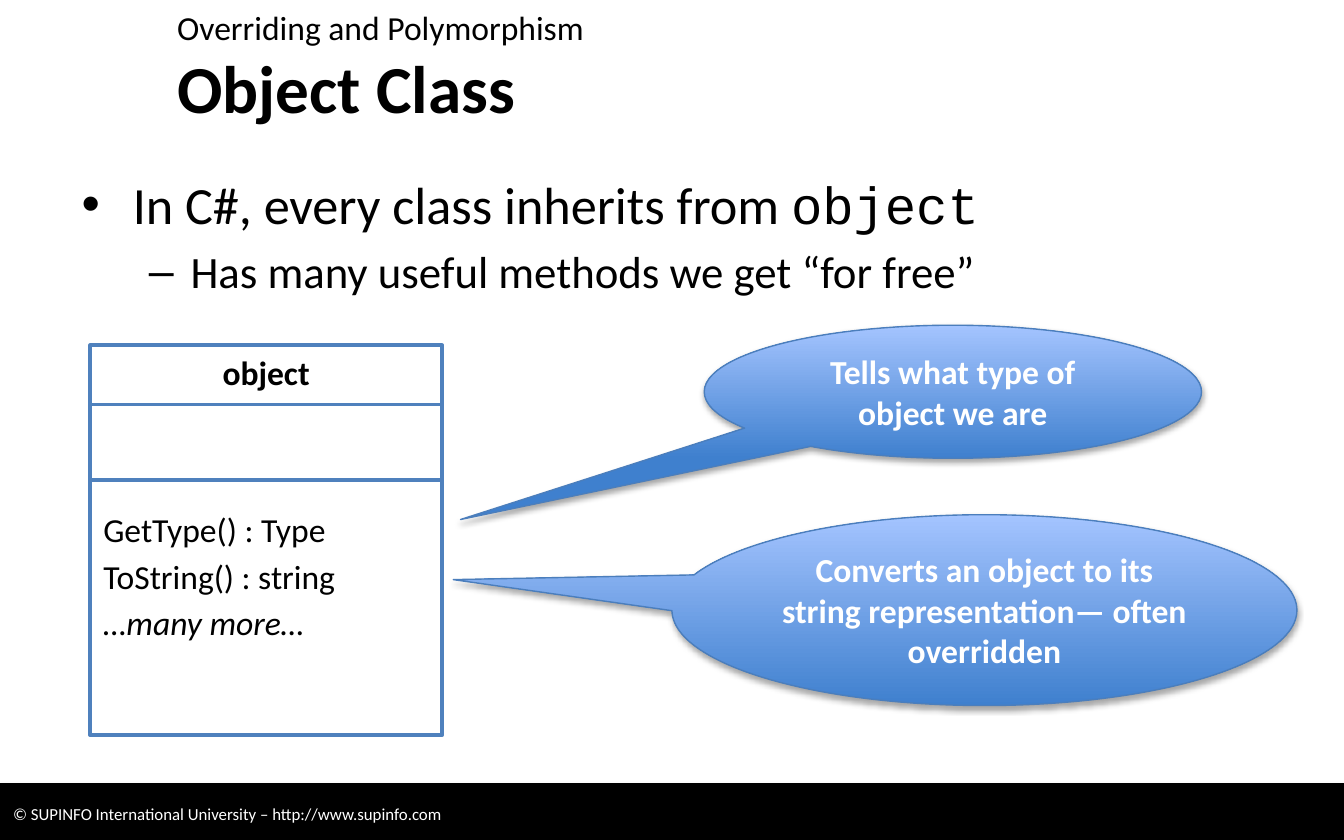
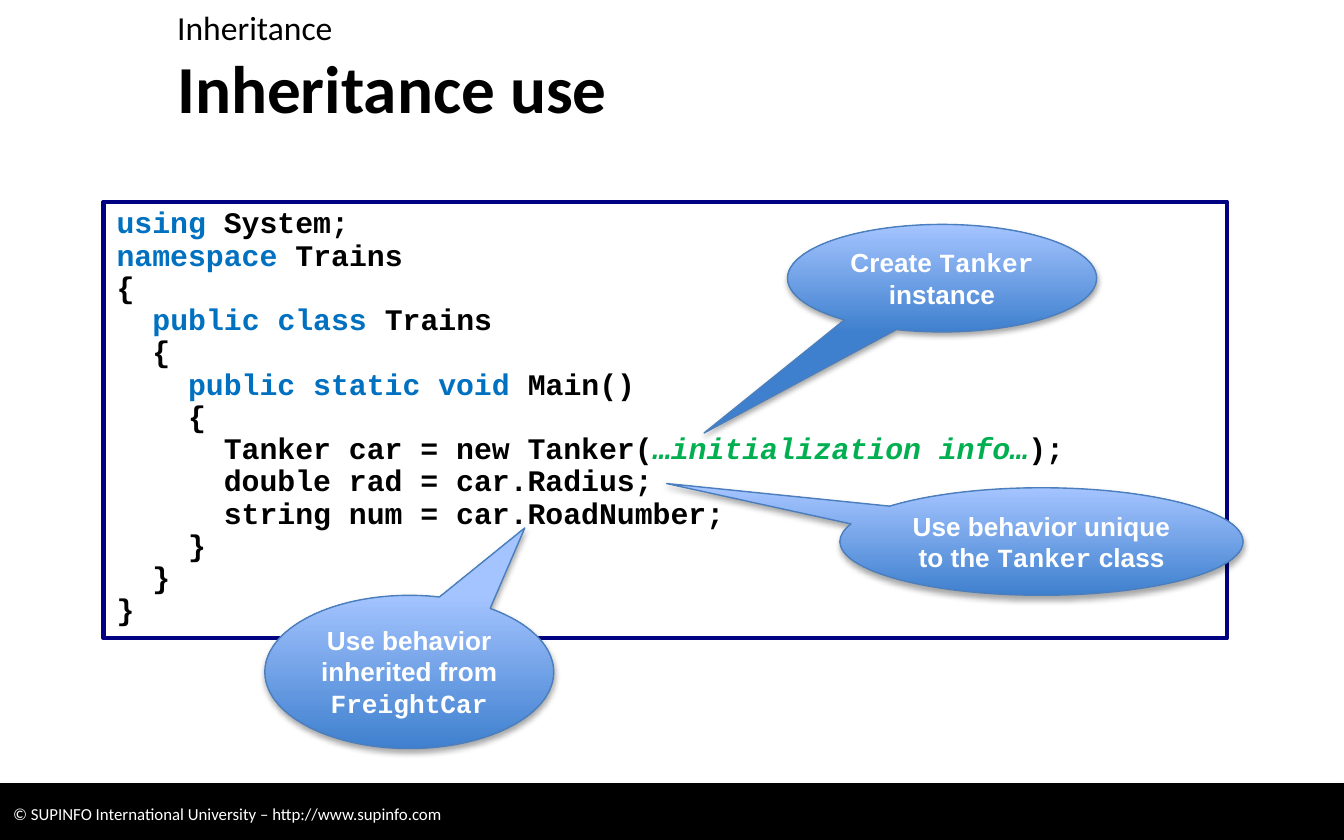
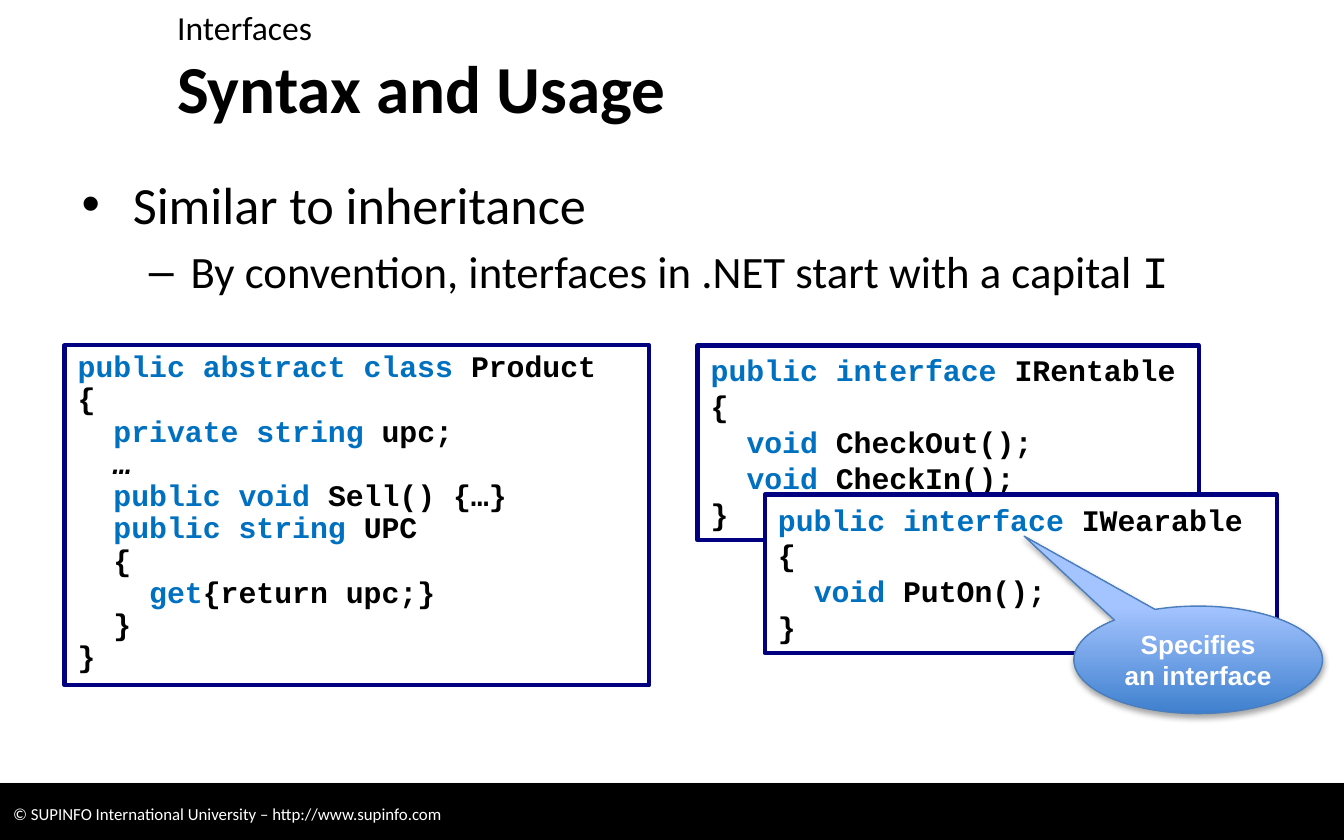
from lxml import etree
from pptx import Presentation
from pptx import util as u
from pptx.dml.color import RGBColor
from pptx.enum import shapes, text
from pptx.oxml.ns import qn

BLACK = RGBColor(0x00, 0x00, 0x00)
WHITE = RGBColor(0xFF, 0xFF, 0xFF)
GRAY = RGBColor(0x80, 0x80, 0x80)
NAVY = RGBColor(0x00, 0x00, 0x80)
CLASS_LINE = RGBColor(0x4F, 0x81, 0xBD)
CALLOUT_DARK = RGBColor(0x3F, 0x80, 0xCE)
CALLOUT_LIGHT = RGBColor(0xA4, 0xC4, 0xFF)
CALLOUT_LINE = RGBColor(0x4B, 0x7E, 0xBC)
KEYWORD = RGBColor(0x00, 0x70, 0xC0)
COMMENT = RGBColor(0x00, 0xB0, 0x50)

BODY_FONT, CALLOUT_FONT, CODE_FONT = "Calibri", "Arial", "Courier New"
FOOTER = "© SUPINFO International University – http://www.supinfo.com"

# Text is split at "|"; a piece may start with one of these marks and a colon
MARKS = {
    "k": {"color": KEYWORD},
    "c": {"color": COMMENT, "italic": True},
    "i": {"italic": True},
    "m": {"name": CODE_FONT},
}

TRAINS_CODE = [
    "k:using |System;",
    "k:namespace |Trains",
    "{",
    "  |k:public class |Trains",
    "  {",
    "    |k:public static void |Main()",
    "    {",
    "      Tanker car = new Tanker(|c:…initialization info…|);",
    "      double rad = car.Radius;",
    "      string num = car.RoadNumber;",
    "    }",
    "  }",
    "}",
]
PRODUCT_CODE = [
    "k:public abstract class |Product",
    "{",
    "  |k:private string |upc;",
    "i:  …",
    "  |k:public void |Sell() {…}",
    "  |k:public string |UPC",
    "  {",
    "    |k:get|{return upc;}",
    "  }",
    "}",
]
RENTABLE_CODE = ["k:public interface| IRentable", "{", "  |k:void| CheckOut();",
                 "  |k:void| CheckIn();", "}"]
WEARABLE_CODE = ["k:public interface| IWearable", "{", "  |k:void| PutOn();", "}"]


class Deck:
    def __init__(self):
        self.presentation = Presentation()
        self.presentation.slide_width = u.Inches(10)
        self.presentation.slide_height = u.Inches(6.25)
        self.slide = None

    def add_slide(self, chapter, title):
        """Start a slide with its footer band and headings."""
        self.slide = self.presentation.slides.add_slide(self.presentation.slide_layouts[6])
        band = self.box((0, 5.83, 10, 0.45), BLACK, BLACK, 0.75)
        self.cast_shadow(band, GRAY)
        band.text_frame.vertical_anchor = text.MSO_ANCHOR.MIDDLE
        self.fill_text(band, [FOOTER], 9, color=WHITE)
        heading = self.text_box((1.22, 0.37, 8.51, 0.55))
        heading.text_frame.vertical_anchor = text.MSO_ANCHOR.MIDDLE
        self.fill_text(heading, [title], 36, bold=True)
        self.fill_text(self.text_box((1.22, 0, 8.51, 0.37)), [chapter], 18)

    def text_box(self, area):
        shape = self.slide.shapes.add_textbox(*map(u.Inches, area))
        shape.text_frame.word_wrap = True
        return shape

    def box(self, area, fill, line, width, kind=shapes.MSO_SHAPE.RECTANGLE):
        shape = self.slide.shapes.add_shape(kind, *map(u.Inches, area))
        shape.shadow.inherit = False
        if fill is not None:
            shape.fill.solid()
            shape.fill.fore_color.rgb = fill
        shape.line.color.rgb = line
        shape.line.width = u.Pt(width)
        shape.text_frame.word_wrap = True
        shape.text_frame.vertical_anchor = text.MSO_ANCHOR.TOP
        return shape

    def cast_shadow(self, shape, color):
        effects = shape._element.spPr.find(qn("a:effectLst"))
        shadow = etree.SubElement(effects, qn("a:outerShdw"), blurRad="40000",
                                  dist="23000", dir="5400000", rotWithShape="0")
        tint = etree.SubElement(shadow, qn("a:srgbClr"), val=str(color))
        etree.SubElement(tint, qn("a:alpha"), val="35000")

    def fill_text(self, shape, lines, size, name=BODY_FONT, color=BLACK, bold=False,
                  align=text.PP_ALIGN.LEFT, spacing=None):
        """Fill a shape with one paragraph per line and return the paragraphs."""
        frame = shape.text_frame
        for index, line in enumerate(lines):
            paragraph = frame.add_paragraph() if index else frame.paragraphs[0]
            paragraph.alignment = align
            paragraph.line_spacing = spacing
            for piece in line.split("|"):
                mark, _, rest = piece.partition(":")
                style = MARKS.get(mark, {})
                run = paragraph.add_run()
                run.text = rest if style else piece
                run.font.size = u.Pt(size)
                run.font.bold = bold
                run.font.name = style.get("name", name)
                run.font.italic = style.get("italic", False)
                run.font.color.rgb = style.get("color", color)
        return frame.paragraphs

    def bullets(self, main_point, detail):
        area = (0.51, 1.23, 9.06, 1.2)
        paragraphs = self.fill_text(self.text_box(area), [main_point, detail], 28)
        levels = [("•", 0.38, -0.38), ("–", 0.81, -0.31)]
        for level, (paragraph, (sign, margin, indent)) in enumerate(zip(paragraphs, levels)):
            paragraph.level = level
            properties = paragraph._p.get_or_add_pPr()
            properties.set("marL", str(u.Inches(margin)))
            properties.set("indent", str(u.Inches(indent)))
            etree.SubElement(properties, qn("a:buFont"), typeface="Arial")
            etree.SubElement(properties, qn("a:buChar"), char=sign)
        paragraphs[1].space_before = u.Pt(5)
        for run in paragraphs[1].runs:
            run.font.size = u.Pt(24)

    def class_box(self, area, name, members, dividers):
        """Class diagram: name, empty field area and members."""
        left, top, width, height = area
        shape = self.box(area, WHITE, CLASS_LINE, 2)
        heading, *rows = self.fill_text(shape, [name, *members], 18)
        heading.alignment = text.PP_ALIGN.CENTER
        heading.runs[0].font.bold = True
        for row in rows:
            row.line_spacing = 0.5
            row.space_before = u.Pt(14)
        rows[0].space_before = u.Pt(72)
        for y in dividers:
            ends = map(u.Inches, (left, y, left + width, y))
            line = self.slide.shapes.add_connector(shapes.MSO_CONNECTOR.STRAIGHT, *ends)
            line.line.color.rgb = CLASS_LINE
            line.line.width = u.Pt(2)
            etree.SubElement(line._element.spPr, qn("a:effectLst"))

    def code_box(self, area, lines, spacing=None):
        shape = self.box(area, WHITE, NAVY, 2.25)
        self.fill_text(shape, lines, 16, CODE_FONT, bold=True, spacing=spacing)

    def callout(self, area, tip, message, size=14, name=CALLOUT_FONT):
        """Oval callout; tip is the pointer's offset as a share of the size."""
        shape = self.box(area, None, CALLOUT_LINE, 0.75, shapes.MSO_SHAPE.OVAL_CALLOUT)
        shape.adjustments[0], shape.adjustments[1] = tip
        shape.fill.gradient()
        shape.fill.gradient_angle = 90
        for stop, color, position in zip(shape.fill.gradient_stops,
                                         (CALLOUT_DARK, CALLOUT_LIGHT), (0, 1)):
            stop.color.rgb = color
            stop.position = position
        self.cast_shadow(shape, BLACK)
        self.fill_text(shape, [message], size, name, WHITE, True, text.PP_ALIGN.CENTER)


def main():
    deck = Deck()

    # Object class
    deck.add_slide("Overriding and Polymorphism", "Object Class")
    deck.bullets("In C#, every class inherits from |m:object",
                 "Has many useful methods we get “for free”")
    deck.class_box((0.67, 2.57, 2.62, 2.9), "object",
                   ["GetType() : Type", "ToString() : string", "i:…many more…"],
                   dividers=(3.57, 3.01))
    deck.callout((5.24, 2.42, 3.7, 0.99), (-0.99, 0.96),
                 "Tells what type of object we are", 18, BODY_FONT)
    deck.callout((5, 3.83, 4.65, 1.42), (-0.85, -0.16),
                 "Converts an object to its string representation— often overridden",
                 18, BODY_FONT)

    # Inheritance use
    deck.add_slide("Inheritance", "Inheritance use")
    deck.code_box((0.77, 1.5, 8.36, 3.25), TRAINS_CODE, 0.9)
    deck.callout((5.86, 1.67, 2.3, 0.8), (-0.77, 1.44), "Create |m:Tanker| instance")
    deck.callout((6.25, 3.63, 3, 0.8), (-0.93, -0.54),
                 "Use behavior unique to the |m:Tanker| class")
    deck.callout((1.97, 4.43, 2.15, 1.14), (0.4, -0.94),
                 "Use behavior inherited from |m:FreightCar")

    # Interface syntax
    deck.add_slide("Interfaces", "Syntax and Usage")
    deck.bullets("Similar to inheritance",
                 "By convention, interfaces in .NET start with a capital |m:I")
    deck.code_box((5.19, 2.57, 3.73, 1.45), RENTABLE_CODE)
    deck.code_box((5.69, 3.68, 3.81, 1.18), WEARABLE_CODE)
    deck.callout((7.99, 4.51, 1.85, 0.8), (-0.7, -1.15), "Specifies an interface")
    deck.code_box((0.48, 2.57, 4.35, 2.53), PRODUCT_CODE, 0.9)

    deck.presentation.save("out.pptx")


if __name__ == "__main__":
    main()
